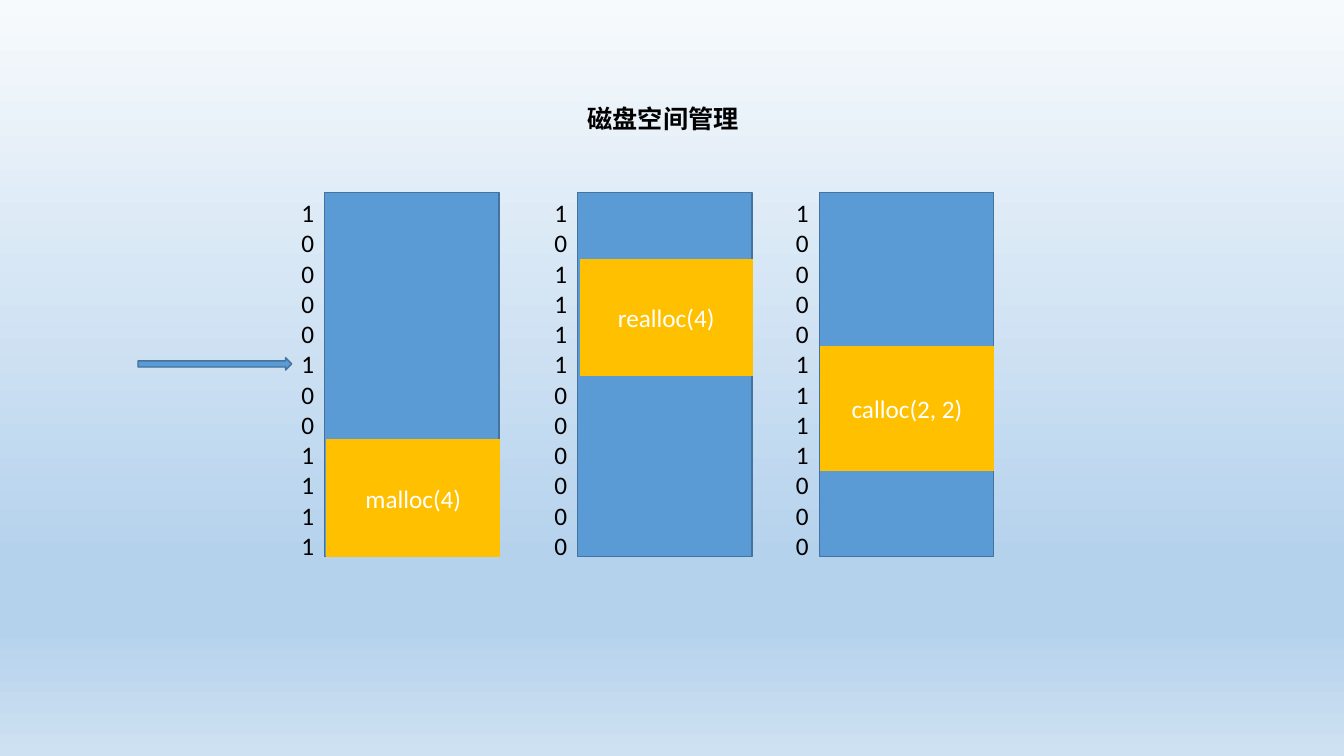
from copy import deepcopy
from typing import NamedTuple

from pptx import Presentation
from pptx.dml.color import RGBColor
from pptx.enum.shapes import MSO_SHAPE as Preset
from pptx.enum.text import MSO_ANCHOR as Anchor, MSO_AUTO_SIZE as AutoSize, PP_ALIGN as Align
from pptx.oxml.ns import qn
from pptx.shapes.autoshape import Shape
from pptx.slide import Slide
from pptx.text.text import TextFrame
from pptx.util import Pt

COLORS = {
    "disk": "5B9BD5", "outline": "43739E", "allocated": "FFC000",
    "dark": "000000", "light": "FFFFFF",
    "sky": "F7FAFD", "horizon": "B5D2EC", "ground": "CEE1F2",
}
BACKGROUND_STOPS = [(0, "sky"), (74, "horizon"), (83, "horizon"), (100, "ground")]
FONT, FONT_SIZE = "Calibri", 18
DISK_TOP, DISK_WIDTH, DISK_HEIGHT = 137.5, 124.5, 260
BITS_WIDTH, BITS_HEIGHT = 23.75, 269.3


class Box(NamedTuple):
    left: float
    top: float
    width: float
    height: float


class Disk(NamedTuple):
    left: float
    bits: str
    call: str
    allocation: Box


DISKS = [
    Disk(231.9, "100001001111", "malloc(4)", Box(233, 313.8, 124.5, 83.7)),
    Disk(412.6, "101111000000", "realloc(4)", Box(414, 185.2, 123.8, 83.5)),
    Disk(585.2, "100001111000", "calloc(2, 2)", Box(586, 247, 123.7, 89.5)),
]


def paint_background(slide: Slide) -> None:
    fill = slide.background.fill
    fill.gradient()
    fill.gradient_angle = 270
    stop_list = next(slide.element.iter(qn("a:gsLst")))
    template = deepcopy(stop_list[0])
    # One stop element per colour, then the colours through the fill
    for stop in list(stop_list):
        stop_list.remove(stop)
    for _ in BACKGROUND_STOPS:
        stop_list.append(deepcopy(template))
    for stop, (percent, color) in zip(fill.gradient_stops, BACKGROUND_STOPS):
        stop.position = percent / 100
        stop.color.rgb = RGBColor.from_string(COLORS[color])


def write(text_frame: TextFrame, text: str, color: str, align: Align, bold: bool = False) -> None:
    text_frame.text = text
    for paragraph in text_frame.paragraphs:
        paragraph.alignment = align
        for run in paragraph.runs:
            run.font.name, run.font.size, run.font.bold = FONT, Pt(FONT_SIZE), bold
            run.font.color.rgb = RGBColor.from_string(COLORS[color])


def add_box(slide: Slide, preset: Preset, box: Box, fill: str, outlined: bool = True) -> Shape:
    shape = slide.shapes.add_shape(preset, *map(Pt, box))
    shape.shadow.inherit = False
    shape.fill.solid()
    shape.fill.fore_color.rgb = RGBColor.from_string(COLORS[fill])
    if outlined:
        shape.line.color.rgb = RGBColor.from_string(COLORS["outline"])
        shape.line.width = Pt(1)
    else:
        shape.line.fill.background()
    return shape


def add_label(slide: Slide, box: Box, text: str, bold: bool = False) -> None:
    text_frame = slide.shapes.add_textbox(*map(Pt, box)).text_frame
    text_frame.word_wrap = False
    text_frame.auto_size = AutoSize.SHAPE_TO_FIT_TEXT
    write(text_frame, text, "dark", Align.LEFT, bold)


def add_disk(slide: Slide, disk: Disk) -> None:
    add_box(slide, Preset.FLOWCHART_PROCESS,
            Box(disk.left, DISK_TOP, DISK_WIDTH, DISK_HEIGHT), "disk")
    add_label(slide, Box(disk.left - BITS_WIDTH, DISK_TOP, BITS_WIDTH, BITS_HEIGHT),
              "\n".join(disk.bits))
    allocation = add_box(slide, Preset.FLOWCHART_PROCESS, disk.allocation, "allocated", False)
    allocation.text_frame.vertical_anchor = Anchor.MIDDLE
    write(allocation.text_frame, disk.call, "light", Align.CENTER)


presentation = Presentation()
presentation.slide_width, presentation.slide_height = Pt(960), Pt(540)
slide = presentation.slides.add_slide(presentation.slide_layouts[6])
paint_background(slide)

# Disks with their bitmaps and allocated blocks
for disk in DISKS:
    add_disk(slide, disk)

# Arrow to the current bit
add_box(slide, Preset.RIGHT_ARROW, Box(98.6, 255.6, 109.8, 8.8), "disk")

# Title
add_label(slide, Box(412.6, 70.5, 124.5, 29), "磁盘空间管理", bold=True)

presentation.save("out.pptx")
